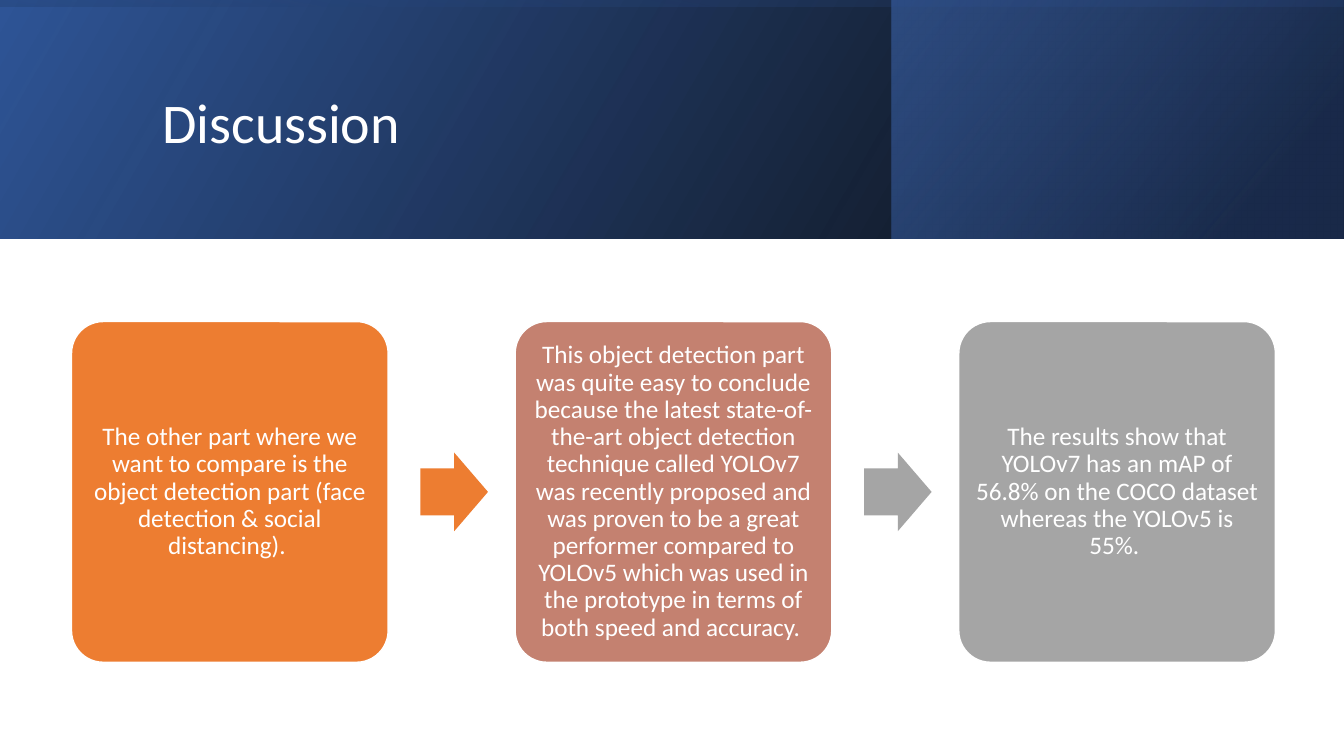
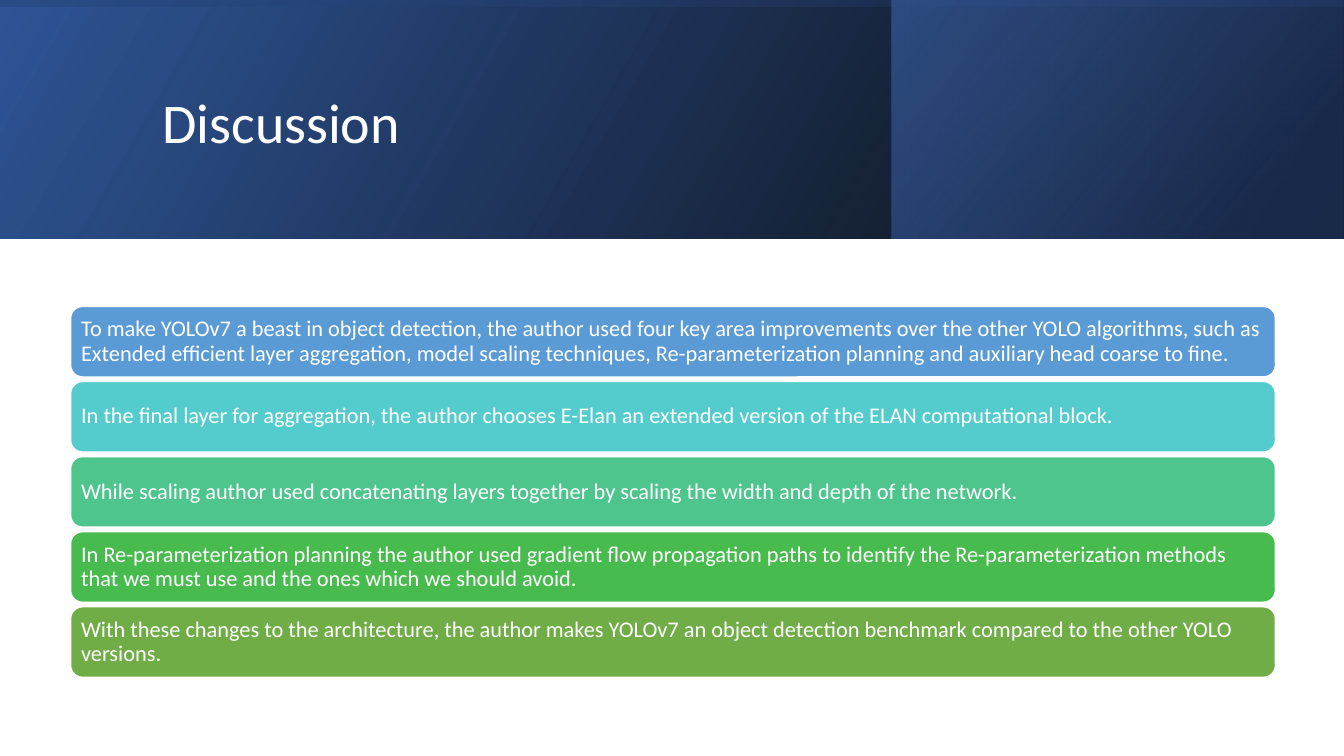
from dataclasses import dataclass
from lxml.etree import SubElement
from pptx import Presentation
from pptx.dml.color import RGBColor
from pptx.enum.shapes import MSO_SHAPE
from pptx.enum.text import MSO_ANCHOR, MSO_AUTO_SIZE, PP_ALIGN
from pptx.oxml.ns import qn
from pptx.util import Inches, Pt


@dataclass(frozen=True)
class Theme:
    """Colours, font and type sizes shared by the slides."""
    font: str = "Calibri"
    title_size: int = 40
    card_size: int = 18
    row_size: int = 16
    white: str = "FFFFFF"
    black: str = "000000"
    navy: str = "203864"
    deep_blue: str = "2F5597"
    bright_blue: str = "4472C4"
    orange: str = "ED7D31"
    rose: str = "C48170"
    gray: str = "A5A5A5"
    rows: tuple = ("5B9BD5", "54CCCD", "4DC58D", "48BB4F", "70AD47")


@dataclass(frozen=True)
class Box:
    """A region of the slide, in inches."""
    left: float
    top: float
    width: float
    height: float

    def lengths(self):
        """Return the four sides as lengths."""
        return [Inches(side) for side in (self.left, self.top, self.width, self.height)]


THEME = Theme()
HEADER = Box(0, 0, 13.33, 2.37)
CARDS = Box(0.71, 3.19, 11.94, 3.38)
ROWS = Box(0.7, 3.04, 11.95, 3.68)


def add_plain_shape(slide, kind, box, color=None, outline=None):
    """Add a shape without shadow, with an optional solid fill and outline."""
    shape = slide.shapes.add_shape(kind, *box.lengths())
    shape.shadow.inherit = False
    if color:
        shape.fill.solid()
        shape.fill.fore_color.rgb = RGBColor.from_string(color)
    if outline:
        shape.line.color.rgb = RGBColor.from_string(outline)
        shape.line.width = Pt(1)
    else:
        shape.line.fill.background()
    return shape


def write_text(frame, text, size, alignment):
    """Write one white paragraph, centred vertically."""
    frame.word_wrap = True
    frame.auto_size = MSO_AUTO_SIZE.NONE
    frame.vertical_anchor = MSO_ANCHOR.MIDDLE
    paragraph = frame.paragraphs[0]
    paragraph.alignment = alignment
    paragraph.line_spacing = 0.9
    run = paragraph.add_run()
    run.text = text
    run.font.name = THEME.font
    run.font.size = Pt(size)
    run.font.color.rgb = RGBColor.from_string(THEME.white)


def add_panel(slide, box, color, text, size, alignment, corner):
    """Add a rounded panel that holds its own text."""
    panel = add_plain_shape(slide, MSO_SHAPE.ROUNDED_RECTANGLE, box, color, THEME.white)
    panel.adjustments[0] = corner
    frame = panel.text_frame
    frame.margin_left = frame.margin_right = Inches(0.07)
    frame.margin_top = frame.margin_bottom = Inches(0.07)
    write_text(frame, text, size, alignment)


def add_band(slide, box, angle, stops, rotation=0):
    """Add a mirrored gradient band from (position, colour, opacity) stops."""
    band = add_plain_shape(slide, MSO_SHAPE.RECTANGLE, box)
    band.rotation = rotation
    band.element.spPr.find(qn("a:xfrm")).set("flipH", "1")
    band.fill.gradient()
    band.fill.gradient_angle = angle
    for stop, (position, color, opacity) in zip(band.fill.gradient_stops, stops):
        stop.position = position / 100
        stop.color.rgb = RGBColor.from_string(color)
    color_nodes = list(band.element.spPr.iter(qn("a:srgbClr")))
    for node, (position, color, opacity) in zip(color_nodes, stops):
        if opacity < 100:
            SubElement(node, qn("a:alpha")).set("val", str(opacity * 1000))
    return band


def add_header(slide, box, title_text):
    """Lay the gradient bands behind the slide title."""
    side = Box(box.left + 8.84, box.top, 4.48, box.height)
    upright = Box(
        box.left + (box.width - box.height) / 2,
        box.top - (box.width - box.height) / 2,
        box.height,
        box.width,
    )
    bands = [
        add_band(slide, box, 30, [(0, THEME.black, 96), (100, THEME.deep_blue, 100)]),
        add_band(slide, side, 40, [(19, THEME.navy, 68), (100, THEME.bright_blue, 48)]),
        add_band(slide, upright, 10, [(23, THEME.deep_blue, 16), (99, THEME.black, 45)], 270),
    ]
    title = slide.shapes.title
    for band in bands:
        title.element.addprevious(band.element)
    title_box = Box(box.left + 1.51, box.top + 0.38, 10.63, 1.72)
    title.left, title.top, title.width, title.height = title_box.lengths()
    write_text(title.text_frame, title_text, THEME.title_size, PP_ALIGN.LEFT)


def add_card_flow(slide, box, cards):
    """Place cards at an equal pitch, with an arrow in each gap."""
    card_width, arrow_width, arrow_height = 3.14, 0.67, 0.78
    pitch = (box.width - card_width) / (len(cards) - 1)
    arrow_top = box.top + (box.height - arrow_height) / 2
    for index, (color, arrow_color, text) in enumerate(cards):
        left = box.left + index * pitch
        card = Box(left, box.top, card_width, box.height)
        add_panel(slide, card, color, text, THEME.card_size, PP_ALIGN.CENTER, 0.1)
        if arrow_color:
            arrow_box = Box(left + card_width + 0.32, arrow_top, arrow_width, arrow_height)
            arrow = add_plain_shape(slide, MSO_SHAPE.RIGHT_ARROW, arrow_box, arrow_color)
            arrow.adjustments[0] = 0.6
            arrow.adjustments[1] = 0.5


def add_row_list(slide, box, texts):
    """Stack full-width rows at an equal pitch."""
    row_height = 0.7
    pitch = (box.height - row_height) / (len(texts) - 1)
    for index, (color, text) in enumerate(zip(THEME.rows, texts)):
        row = Box(box.left, box.top + index * pitch, box.width, row_height)
        add_panel(slide, row, color, text, THEME.row_size, PP_ALIGN.LEFT, 0.17)


def add_discussion_slide(presentation, add_body, box, content):
    """Add a discussion slide with its header and body."""
    slide = presentation.slides.add_slide(presentation.slide_layouts[5])
    add_header(slide, HEADER, "Discussion")
    add_body(slide, box, content)


def main():
    """Build and save the presentation."""
    presentation = Presentation()
    presentation.slide_width = Inches(13.33)
    presentation.slide_height = Inches(7.5)
    add_discussion_slide(presentation, add_card_flow, CARDS, [
        (THEME.orange, THEME.orange,
         "The other part where we want to compare is the object detection part "
         "(face detection & social distancing). "),
        (THEME.rose, THEME.gray,
         "This object detection part was quite easy to conclude because the latest "
         "state-of-the-art object detection technique called YOLOv7 was recently "
         "proposed and was proven to be a great performer compared to YOLOv5 which "
         "was used in the prototype in terms of both speed and accuracy. "),
        (THEME.gray, None,
         "The results show that YOLOv7 has an mAP of 56.8% on the COCO dataset "
         "whereas the YOLOv5 is 55%. "),
    ])
    add_discussion_slide(presentation, add_row_list, ROWS, [
        "To make YOLOv7 a beast in object detection, the author used four key area "
        "improvements over the other YOLO algorithms, such as Extended efficient layer "
        "aggregation, model scaling techniques, Re-parameterization planning and "
        "auxiliary head coarse to fine. ",
        "In the final layer for aggregation, the author chooses E-Elan an extended "
        "version of the ELAN computational block. ",
        "While scaling author used concatenating layers together by scaling the width "
        "and depth of the network. ",
        "In Re-parameterization planning the author used gradient flow propagation paths "
        "to identify the Re-parameterization methods that we must use and the ones which "
        "we should avoid. ",
        "With these changes to the architecture, the author makes YOLOv7 an object "
        "detection benchmark compared to the other YOLO versions.",
    ])
    presentation.save("out.pptx")


main()
